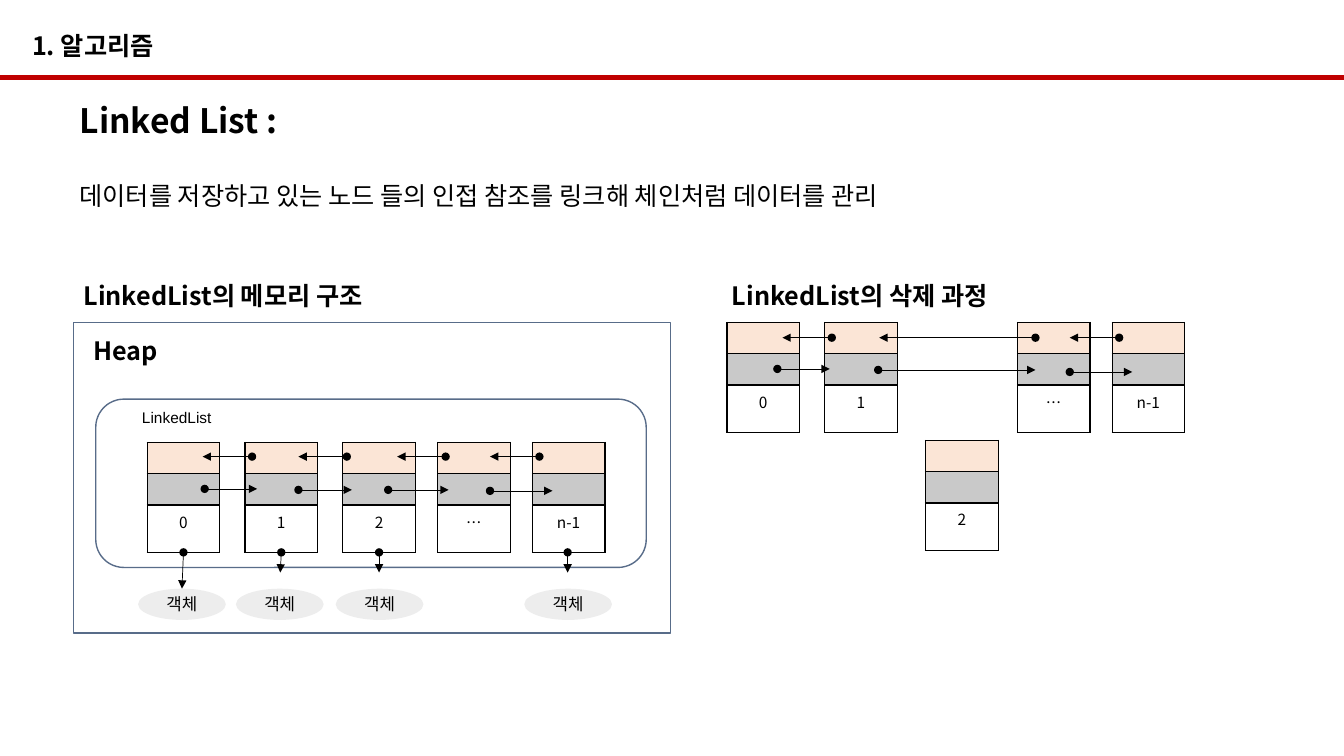
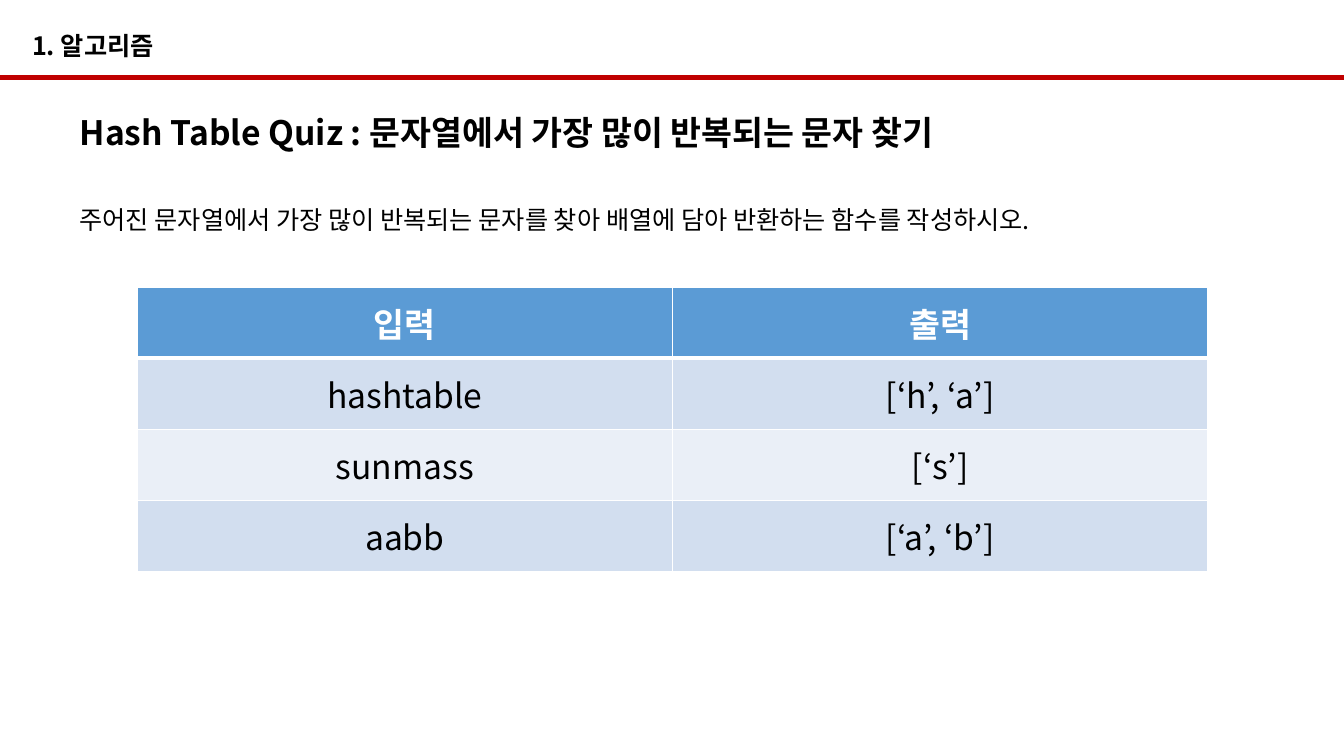
"""Build two algorithm slides: linked list diagrams and a hash table quiz."""
from lxml import etree
from pptx import Presentation
from pptx.dml.color import RGBColor
from pptx.enum.shapes import MSO_CONNECTOR, MSO_SHAPE
from pptx.enum.text import MSO_ANCHOR, MSO_AUTO_SIZE, PP_ALIGN
from pptx.oxml.ns import qn
from pptx.util import Pt

PX = 9144
SLIDE_WIDTH, SLIDE_HEIGHT = 1333, 750
TITLE_ONLY = 5

BLACK = RGBColor(0x00, 0x00, 0x00)
WHITE = RGBColor(0xFF, 0xFF, 0xFF)
RED = RGBColor(0xC0, 0x00, 0x00)
SLATE = RGBColor(0x58, 0x6C, 0x89)
PEACH = RGBColor(0xFB, 0xE5, 0xD6)
GRAY = RGBColor(0xC9, 0xC9, 0xC9)
PALE_GRAY = RGBColor(0xED, 0xED, 0xED)
HEADER_BLUE = RGBColor(0x5B, 0x9B, 0xD5)
BAND_DARK = RGBColor(0xD2, 0xDE, 0xEF)
BAND_LIGHT = RGBColor(0xEA, 0xEF, 0xF7)

SANS = "Noto Sans CJK KR"
ARIAL = "Arial"

LEFT, CENTER = PP_ALIGN.LEFT, PP_ALIGN.CENTER
TOP, MIDDLE = MSO_ANCHOR.TOP, MSO_ANCHOR.MIDDLE
NO_AUTOFIT = MSO_AUTO_SIZE.NONE
STRAIGHT = MSO_CONNECTOR.STRAIGHT
RECTANGLE = MSO_SHAPE.RECTANGLE
ROUNDED = MSO_SHAPE.ROUNDED_RECTANGLE
OVAL = MSO_SHAPE.OVAL

NODE_WIDTH = 72
NODE_ROWS = [(31, PEACH), (31, GRAY), (47, WHITE)]
MEMORY_NODES = [("0", 146), ("1", 243), ("2", 340), ("…", 434), ("n-1", 528)]
MEMORY_LINKS = [
    (250, 201, 453), (344, 296, 453), (442, 394, 453), (535, 486, 453),
    (203, 255, 485), (296, 349, 486), (385, 445, 486), (486, 548, 487),
]
OBJECT_LEFTS = [137, 234, 333, 520]
SHORT_POINTERS = [(279, 278), (376, 376), (563, 563)]
DELETION_NODES = [
    ("0", 721, 320), ("1", 818, 320), ("2", 918, 437),
    ("…", 1009, 320), ("n-1", 1103, 320),
]
DELETION_LINKS = [
    (825, 776, 335), (1027, 872, 335), (1110, 1061, 335),
    (771, 823, 366), (871, 1027, 367), (1061, 1123, 369),
]
QUIZ_ROWS = [
    ("입력", "출력"),
    ("hashtable", "[‘h’, ‘a’]"),
    ("sunmass", "[‘s’]"),
    ("aabb", "[‘a’, ‘b’]"),
]
QUIZ_FILLS = [HEADER_BLUE, BAND_DARK, BAND_LIGHT, BAND_DARK]


def to_emu(*lengths):
    """Turn px lengths into EMU."""
    return [length * PX for length in lengths]


def write_text(frame, text, size=18, bold=False, color=BLACK, font=SANS, align=LEFT):
    """Write one formatted paragraph into a text frame."""
    paragraph = frame.paragraphs[0]
    paragraph.alignment = align
    run = paragraph.add_run()
    run.text = text
    run.font.size = Pt(size)
    run.font.bold = bold
    run.font.name = font
    run.font.color.rgb = color
    east_asian = etree.SubElement(run.font._element, qn("a:ea"))
    east_asian.set("typeface", SANS)


def format_frame(frame, margin_top=0, anchor=TOP):
    """Set the wrapping, anchor and vertical insets of a text frame."""
    frame.word_wrap = True
    frame.auto_size = NO_AUTOFIT
    frame.vertical_anchor = anchor
    frame.margin_top, frame.margin_bottom = to_emu(margin_top, 0)


def add_text(slide, text, left, top, width, height, margin_top=0, **text_format):
    """Add a text box holding one paragraph."""
    box = slide.shapes.add_textbox(*to_emu(left, top, width, height))
    format_frame(box.text_frame, margin_top)
    write_text(box.text_frame, text, **text_format)


def add_outline(slide, kind, left, top, width, height):
    """Add an unfilled container with a slate outline."""
    shape = slide.shapes.add_shape(kind, *to_emu(left, top, width, height))
    shape.shadow.inherit = False
    shape.fill.background()
    shape.line.color.rgb = SLATE
    shape.line.width = Pt(1)


def add_object(slide, left):
    """Add an ellipse that stands for a referenced object."""
    ellipse = slide.shapes.add_shape(OVAL, *to_emu(left, 584, 87, 31))
    ellipse.shadow.inherit = False
    ellipse.fill.solid()
    ellipse.fill.fore_color.rgb = PALE_GRAY
    ellipse.line.fill.background()
    format_frame(ellipse.text_frame, anchor=MIDDLE)
    write_text(ellipse.text_frame, "객체", size=12, font=ARIAL, align=CENTER)
    return ellipse


def add_line(slide, start, end, color=BLACK, width=0.5):
    """Add a straight line without a shadow."""
    line = slide.shapes.add_connector(STRAIGHT, *to_emu(*start, *end))
    line.line.color.rgb = color
    line.line.width = Pt(width)
    etree.SubElement(line._element.spPr, qn("a:effectLst"))
    return line


def add_arrow(slide, start, end):
    """Add a pointer with a dot at its start and a triangle at its end."""
    arrow = add_line(slide, start, end)
    outline = arrow.line._get_or_add_ln()
    for tag, kind in (("a:headEnd", "oval"), ("a:tailEnd", "triangle")):
        etree.SubElement(outline, qn(tag)).set("type", kind)
    return arrow


def add_links(slide, links):
    """Add horizontal pointers given as start, end and height."""
    for start, end, y in links:
        add_arrow(slide, (start, y), (end, y))


def format_cell(cell, fill, border, top_width=1, bottom_width=1):
    """Give a table cell its borders and fill."""
    properties = cell._tc.get_or_add_tcPr()
    widths = {"a:lnL": 1, "a:lnR": 1, "a:lnT": top_width, "a:lnB": bottom_width}
    for tag, width in widths.items():
        edge = etree.SubElement(properties, qn(tag), w=str(Pt(width)))
        solid = etree.SubElement(edge, qn("a:solidFill"))
        etree.SubElement(solid, qn("a:srgbClr"), val=str(border))
    cell.fill.solid()
    cell.fill.fore_color.rgb = fill


def add_table(slide, rows, columns, left, top, width, height):
    """Add a table without header and band styling."""
    frame = slide.shapes.add_table(rows, columns, *to_emu(left, top, width, height))
    frame.table.first_row = False
    frame.table.horz_banding = False
    return frame.table


def add_node(slide, label, left, top):
    """Add a list node with previous, next and label cells."""
    height = sum(row_height for row_height, _ in NODE_ROWS)
    table = add_table(slide, len(NODE_ROWS), 1, left, top, NODE_WIDTH, height)
    for index, (row_height, fill) in enumerate(NODE_ROWS):
        table.rows[index].height = row_height * PX
        cell = table.cell(index, 0)
        format_cell(cell, fill, BLACK)
        cell.margin_top, cell.margin_bottom = to_emu(5, 0)
        paragraph = cell.text_frame.paragraphs[0]
        if index < len(NODE_ROWS) - 1:
            etree.SubElement(paragraph._p, qn("a:endParaRPr"), sz="1100")
        else:
            write_text(cell.text_frame, label, size=11, align=CENTER)


def add_quiz_table(slide):
    """Add the table of sample inputs and outputs."""
    table = add_table(slide, len(QUIZ_ROWS), 2, 136, 285, 1062, 282)
    for row, (texts, fill) in enumerate(zip(QUIZ_ROWS, QUIZ_FILLS)):
        is_header = row == 0
        for column, text in enumerate(texts):
            cell = table.cell(row, column)
            format_cell(cell, fill, WHITE, top_width=3 if row == 1 else 1,
                        bottom_width=3 if is_header else 1)
            cell.vertical_anchor = MIDDLE
            write_text(cell.text_frame, text, size=24, bold=is_header,
                       color=WHITE if is_header else BLACK, align=CENTER)


def add_titled_slide(presentation, title, title_top, body, body_top):
    """Add a slide with the section header, red rule, title and body line."""
    slide = presentation.slides.add_slide(presentation.slide_layouts[TITLE_ONLY])
    add_text(slide, "1. 알고리즘", 22, 30, 275, 40, bold=True)
    add_line(slide, (0, 77), (SLIDE_WIDTH, 77), color=RED, width=3)
    placeholder = slide.shapes.title
    (placeholder.left, placeholder.top,
     placeholder.width, placeholder.height) = to_emu(69, title_top, 1223, 50)
    format_frame(placeholder.text_frame)
    write_text(placeholder.text_frame, title, size=24, bold=True)
    add_text(slide, body, 69, body_top, 1132, 40)
    return slide


def add_memory_diagram(slide):
    """Draw the list nodes and their objects on the heap."""
    add_text(slide, "LinkedList의 메모리 구조", 73, 278, 432, 40, bold=True)
    add_outline(slide, RECTANGLE, 73, 320, 592, 308)
    add_text(slide, "Heap", 83, 333, 114, 40, bold=True)
    add_outline(slide, ROUNDED, 95, 396, 546, 167)
    add_text(slide, "LinkedList", 131, 400, 281, 29, margin_top=5, size=11, font=ARIAL)
    for label, left in MEMORY_NODES:
        add_node(slide, label, left, 439)
    objects = [add_object(slide, left) for left in OBJECT_LEFTS]
    add_arrow(slide, (182, 548), (180, 584)).end_connect(objects[0], 0)
    for start, end in SHORT_POINTERS:
        add_arrow(slide, (start, 548), (end, 568))
    add_links(slide, MEMORY_LINKS)


def add_deletion_diagram(slide):
    """Draw the list with one node unlinked."""
    add_text(slide, "LinkedList의 삭제 과정", 716, 278, 432, 40, bold=True)
    for label, left, top in DELETION_NODES:
        add_node(slide, label, left, top)
    add_links(slide, DELETION_LINKS)


def main():
    """Build and save the presentation."""
    presentation = Presentation()
    presentation.slide_width, presentation.slide_height = to_emu(SLIDE_WIDTH, SLIDE_HEIGHT)
    list_slide = add_titled_slide(
        presentation, "Linked List :", 99,
        "데이터를 저장하고 있는 노드 들의 인접 참조를 링크해 체인처럼 데이터를 관리", 179)
    add_memory_diagram(list_slide)
    add_deletion_diagram(list_slide)
    quiz_slide = add_titled_slide(
        presentation, "Hash Table Quiz : 문자열에서 가장 많이 반복되는 문자 찾기", 111,
        "주어진 문자열에서 가장 많이 반복되는 문자를 찾아 배열에 담아 반환하는 함수를 작성하시오.", 203)
    add_quiz_table(quiz_slide)
    presentation.save("out.pptx")


if __name__ == "__main__":
    main()
